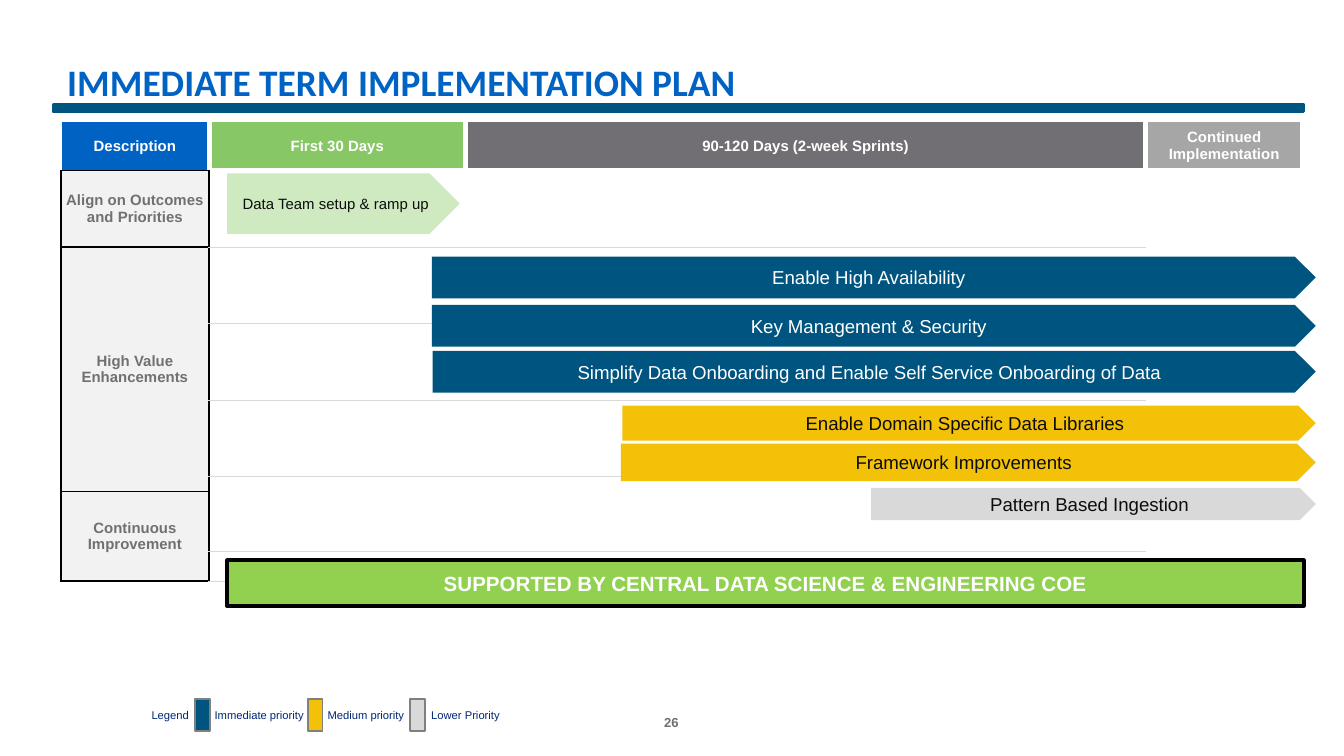
import pptx
import pptx.dml.color
import pptx.enum.shapes
import pptx.enum.text
import pptx.oxml.ns
import pptx.util
from lxml import etree

Pt = pptx.util.Pt
RGB = pptx.dml.color.RGBColor
ALIGN = pptx.enum.text.PP_ALIGN
ANCHOR = pptx.enum.text.MSO_ANCHOR
SHAPE = pptx.enum.shapes.MSO_SHAPE
qn = pptx.oxml.ns.qn

WHITE = RGB(0xFF, 0xFF, 0xFF)
BLACK = RGB(0x00, 0x00, 0x00)
INK = RGB(0x0D, 0x0D, 0x0D)
BLUE = RGB(0x00, 0x63, 0xC3)
TEAL = RGB(0x00, 0x54, 0x80)
NAVY = RGB(0x00, 0x27, 0x76)
GREEN = RGB(0x88, 0xC7, 0x65)
PALE_GREEN = RGB(0xCF, 0xE9, 0xC1)
LIME = RGB(0x92, 0xD0, 0x50)
GOLD = RGB(0xF3, 0xC1, 0x08)
GRAY = RGB(0x71, 0x6F, 0x73)
MID_GRAY = RGB(0xA6, 0xA6, 0xA6)
EDGE_GRAY = RGB(0x80, 0x80, 0x80)
LIGHT_GRAY = RGB(0xD9, 0xD9, 0xD9)
PALE_GRAY = RGB(0xF2, 0xF2, 0xF2)


def write(tf, text, size, color, bold=False, align=ALIGN.CENTER,
          anchor=ANCHOR.MIDDLE, inset=(2, 2), font="Arial", wrap=True):
    tf.word_wrap = wrap
    tf.auto_size = pptx.enum.text.MSO_AUTO_SIZE.NONE
    tf.vertical_anchor = anchor
    tf.margin_left = tf.margin_right = Pt(inset[0])
    tf.margin_top = tf.margin_bottom = Pt(inset[1])
    p = tf.paragraphs[0]
    p.alignment = align
    r = p.add_run()
    r.text = text
    r.font.name = font
    r.font.size = Pt(size)
    r.font.bold = bold
    r.font.color.rgb = color


def add_block(s, kind, box, fill, line=None, width=1):
    sp = s.shapes.add_shape(kind, *[Pt(v) for v in box])
    sp.shadow.inherit = False
    sp.fill.solid()
    sp.fill.fore_color.rgb = fill
    if line is None:
        sp.line.fill.background()
    else:
        sp.line.color.rgb = line
        sp.line.width = Pt(width)
    return sp


prs = pptx.Presentation()
prs.slide_width = Pt(720)
prs.slide_height = Pt(405)
s = prs.slides.add_slide(prs.slide_layouts[5])

title = s.shapes.title
title.left, title.top, title.width, title.height = Pt(28.8), Pt(28), Pt(657.4), Pt(31.7)
write(title.text_frame, "IMMEDIATE TERM IMPLEMENTATION PLAN", 20, BLUE, True,
      ALIGN.LEFT, inset=(7.2, 3.6), font="Calibri")

number = s.shapes.add_textbox(Pt(326.9), Pt(369.4), Pt(65.5), Pt(21.6))
write(number.text_frame, "26", 7, GRAY, True, anchor=ANCHOR.BOTTOM, inset=(0, 0))

col_widths = [79.4, 137.5, 364.3, 84.2]
row_heights = [26.6, 41, 41, 41, 41, 8, 32.2, 15.8]
frame = s.shapes.add_table(len(row_heights), len(col_widths), Pt(32.6), Pt(64.8),
                           Pt(sum(col_widths)), Pt(sum(row_heights)))
table = frame.table
table.first_row = table.horz_banding = False
for column, width in zip(table.columns, col_widths):
    column.width = Pt(width)
for row, height in zip(table.rows, row_heights):
    row.height = Pt(height)

headers = [("Description", BLUE), ("First 30 Days", GREEN),
           ("90-120 Days (2-week Sprints)", GRAY), ("Continued Implementation", MID_GRAY)]
categories = {1: "Align on Outcomes and Priorities", 2: "High Value Enhancements",
              6: "Continuous Improvement"}

for i in range(len(row_heights)):
    for j in range(len(col_widths)):
        cell = table.cell(i, j)
        if i == 0:
            text, fill = headers[j]
            color, pad = WHITE, 5
            borders = {"L": (WHITE, 3), "R": (WHITE, 3), "B": (WHITE, 3)}
            if j == 0:
                borders = {"R": (WHITE, 3), "B": (BLACK, 1)}
        elif j == 0:
            text, fill = categories.get(i), PALE_GRAY
            color, pad = GRAY, 0
            borders = {side: (BLACK, 1) for side in "LRTB"}
        else:
            text = fill = None
            borders = {}
            if j == 1:
                borders["L"] = (BLACK, 1)
            if j < 3:
                borders["T"] = (WHITE, 3) if i == 1 else (LIGHT_GRAY, 0.25)
                borders["B"] = (LIGHT_GRAY, 0.25)
        tcPr = cell._tc.get_or_add_tcPr()
        for side, (line_color, line_width) in borders.items():
            ln = etree.SubElement(tcPr, qn("a:ln" + side), w=str(int(Pt(line_width))))
            solid = etree.SubElement(ln, qn("a:solidFill"))
            etree.SubElement(solid, qn("a:srgbClr"), val=str(line_color))
        if fill is None:
            cell.fill.background()
        else:
            cell.fill.solid()
            cell.fill.fore_color.rgb = fill
        cell.vertical_anchor = ANCHOR.MIDDLE
        p = cell.text_frame.paragraphs[0]
        if text:
            cell.margin_left = cell.margin_right = Pt(pad)
            cell.margin_top = cell.margin_bottom = Pt(2.9)
            p.alignment = ALIGN.CENTER
            r = p.add_run()
            r.text = text
            r.font.name = "Arial"
            r.font.size = Pt(8)
            r.font.bold = True
            r.font.color.rgb = color
        else:
            cell.margin_top = cell.margin_bottom = 0
            etree.SubElement(p._p, qn("a:endParaRPr"), sz="100")

for col, first, last in [(0, 2, 5), (0, 6, 7), (1, 5, 6), (2, 5, 6), (3, 1, 7)]:
    table.cell(first, col).merge(table.cell(last, col))

add_block(s, SHAPE.RECTANGLE, (28.8, 56.2, 669.6, 3.6), TEAL, TEAL, 2)

arrows = [
    ("Data Team setup & ramp up", 121.7, 92.9, 124.6, 32.4, PALE_GREEN, INK, 8),
    ("Enable High Availability", 231.4, 137.5, 473.5, 22.3, TEAL, WHITE, 10),
    ("Key Management & Security", 231.4, 163.4, 473.5, 22.3, TEAL, WHITE, 10),
    ("Simplify Data Onboarding and Enable Self Service Onboarding of Data",
     231.8, 188, 473.1, 22.3, TEAL, WHITE, 10),
    ("Enable Domain Specific Data Libraries", 333.4, 217.4, 371.5, 18.7, GOLD, INK, 10),
    ("Framework Improvements", 332.6, 237.6, 372.3, 20.2, GOLD, INK, 10),
    ("Pattern Based Ingestion", 466.6, 261.4, 238.3, 17.3, LIGHT_GRAY, INK, 10),
]
for text, left, top, width, height, fill, color, size in arrows:
    sp = add_block(s, SHAPE.PENTAGON, (left, top, width, height), fill)
    write(sp.text_frame, text, size, color)

banner = add_block(s, SHAPE.RECTANGLE, (121.7, 300.2, 576.7, 24.5), LIME, BLACK, 2)
write(banner.text_frame, "SUPPORTED BY CENTRAL DATA SCIENCE & ENGINEERING COE", 11, WHITE, True)

for left, fill in [(104.4, TEAL), (164.9, GOLD), (219.6, LIGHT_GRAY)]:
    add_block(s, SHAPE.RECTANGLE, (left, 374.4, 7.9, 17.3), fill, EDGE_GRAY)

labels = [("Legend", 79.2, 28.8), ("Immediate priority", 113, 100),
          ("Medium priority", 173.5, 98.6), ("Lower Priority", 229, 89.3)]
for text, left, width in labels:
    box = s.shapes.add_textbox(Pt(left), Pt(377.3), Pt(width), Pt(11.5))
    write(box.text_frame, text, 6, NAVY, align=ALIGN.LEFT, anchor=ANCHOR.TOP)

prs.save("out.pptx")
